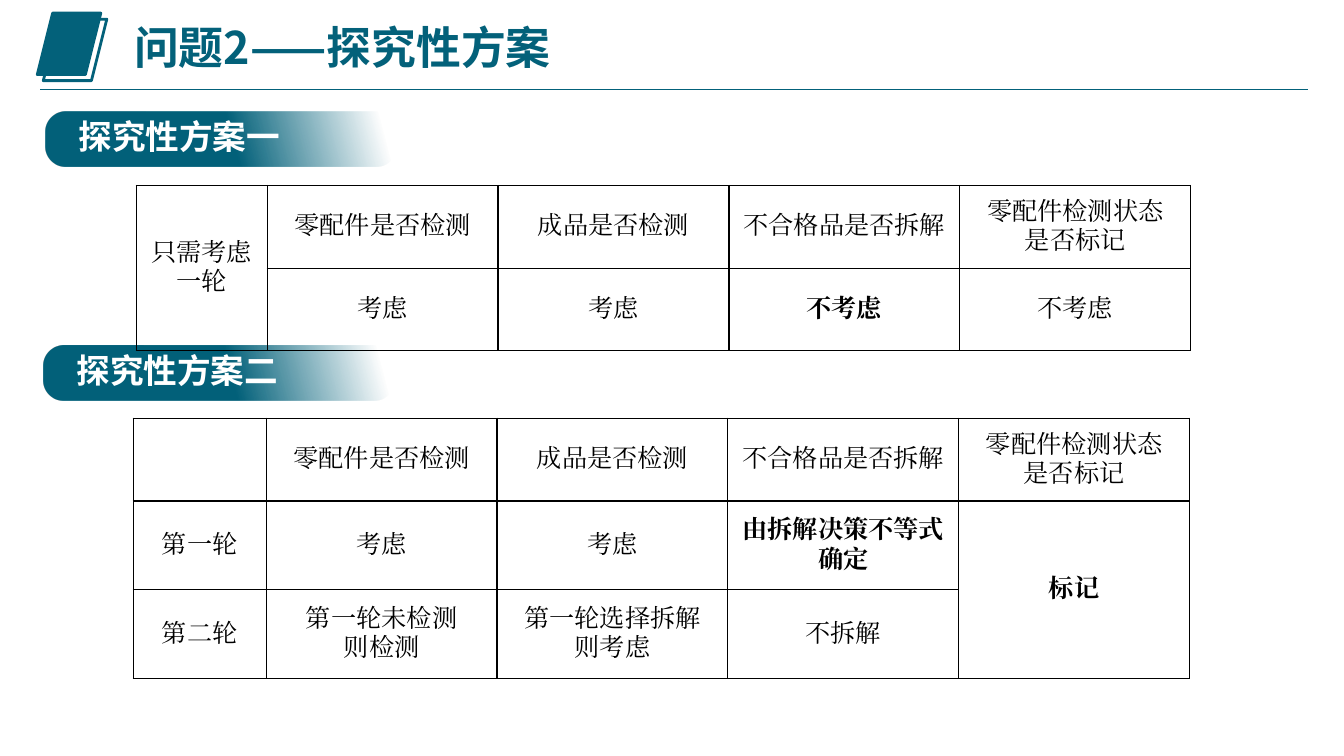
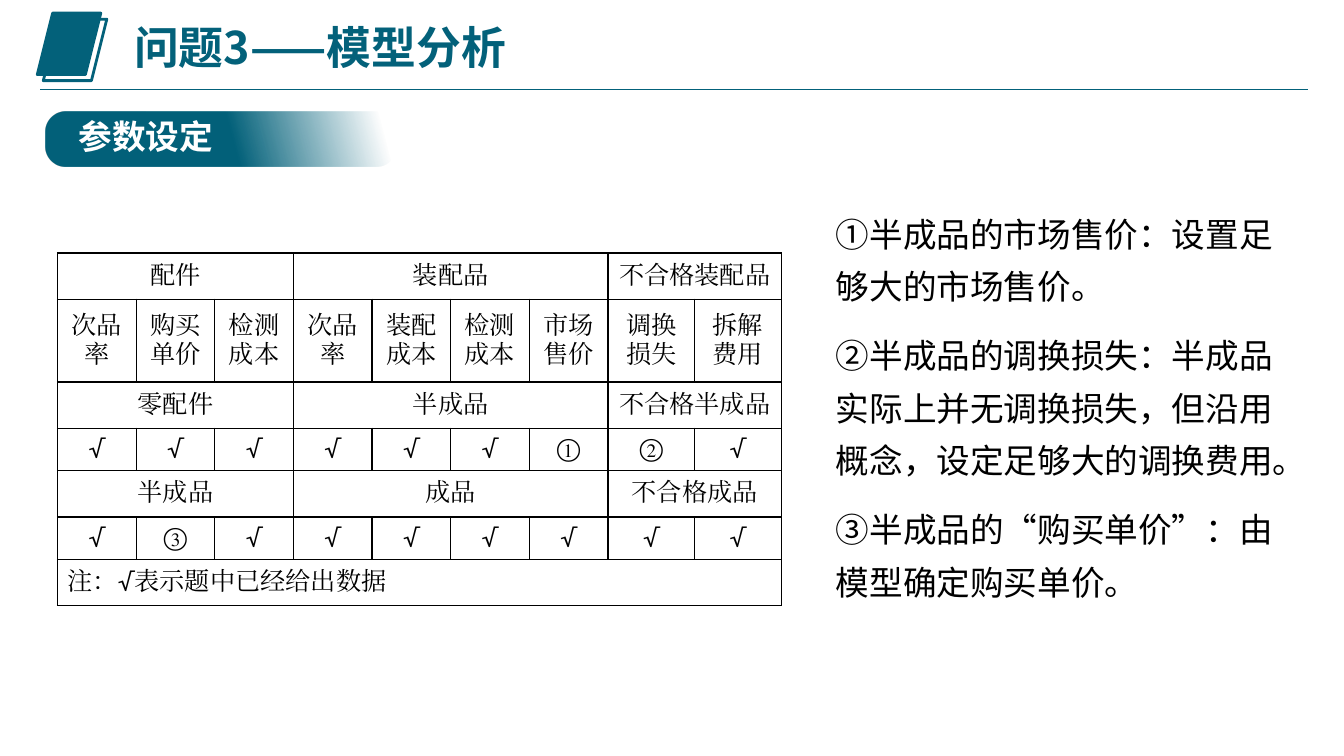
from dataclasses import dataclass

from lxml import etree
from pptx import Presentation
from pptx import util as u
from pptx.dml.color import RGBColor
from pptx.enum import shapes, text
from pptx.oxml import ns

SCALE = 9144
TEAL = RGBColor(0x03, 0x61, 0x7A)
WHITE = RGBColor(0xFF, 0xFF, 0xFF)
BLACK = RGBColor(0, 0, 0)
SANS = "Noto Sans CJK SC"
SERIF = "Cambria"
PLAIN_TABLE = "{2D5ABB26-0587-4C30-8999-92F81FD0307C}"
TITLE_ONLY, TITLE_AND_BODY = 5, 1


@dataclass(frozen=True)
class Style:
    size: int
    latin: str
    asian: str
    color: RGBColor
    bold: bool = False


@dataclass(frozen=True)
class Cell:
    content: str
    rows: int = 1
    columns: int = 1
    bold: bool = False
    align: text.PP_ALIGN = text.PP_ALIGN.CENTER


@dataclass(frozen=True)
class Banner:
    label: str
    left: int
    top: int


@dataclass(frozen=True)
class Grid:
    left: int
    top: int
    widths: list[int]
    heights: list[int]
    rows: list[list[Cell]]


TITLE = Style(32, SANS, SANS, TEAL, True)
LABEL = Style(24, SANS, SANS, WHITE, True)
NOTE = Style(24, SERIF, SANS, BLACK)
TABLE = Style(18, SERIF, SERIF, BLACK)
TABLE_BOLD = Style(18, SERIF, SERIF, BLACK, True)


def px(value: int) -> u.Emu:
    return u.Emu(value * SCALE)


def box(left: int, top: int, width: int, height: int) -> tuple:
    return px(left), px(top), px(width), px(height)


def place(shape, left: int, top: int, width: int, height: int) -> None:
    shape.left, shape.top, shape.width, shape.height = box(left, top, width, height)


def add_run(paragraph, content: str, style: Style) -> None:
    run = paragraph.add_run()
    run.text = content
    font = run.font
    font.size, font.name, font.bold = u.Pt(style.size), style.latin, style.bold
    font.color.rgb = style.color
    asian = etree.SubElement(run._r.get_or_add_rPr(), ns.qn("a:ea"))
    asian.set("typeface", style.asian)


def write(frame, lines: list[str], style: Style, align=text.PP_ALIGN.LEFT,
          spacing: float = 1.0, after: int = 0) -> None:
    for index, line in enumerate(lines):
        paragraph = frame.add_paragraph() if index else frame.paragraphs[0]
        paragraph.alignment = align
        paragraph.line_spacing = spacing
        paragraph.space_before, paragraph.space_after = u.Pt(0), u.Pt(after)
        add_run(paragraph, line, style)


def prepare(frame) -> None:
    frame.word_wrap = True
    frame.auto_size = text.MSO_AUTO_SIZE.NONE
    frame.vertical_anchor = text.MSO_ANCHOR.TOP


def add_header(slide, title: str) -> None:
    for offset, filled in ((0, True), (6, False)):
        page = slide.shapes.add_shape(shapes.MSO_SHAPE.PARALLELOGRAM,
                                      *box(37 + offset, 13 + offset, 63, 61))
        page.shadow.inherit = False
        page.line.color.rgb, page.line.width = TEAL, u.Pt(2)
        if filled:
            page.fill.solid()
            page.fill.fore_color.rgb = TEAL
        else:
            page.fill.background()
        etree.SubElement(page.line._get_or_add_ln(), ns.qn("a:round"))
    rule = slide.shapes.add_connector(shapes.MSO_CONNECTOR.STRAIGHT,
                                      px(40), px(89), px(1297), px(89))
    rule.line.color.rgb, rule.line.width = TEAL, u.Pt(0.75)
    etree.SubElement(rule._element.spPr, ns.qn("a:effectLst"))
    heading = slide.shapes.title
    place(heading, 123, 21, 866, 67)
    prepare(heading.text_frame)
    write(heading.text_frame, [title], TITLE, spacing=0.9)


def fade_fill(shape) -> None:
    shape.fill.gradient()
    gradient = shape._element.spPr.find(ns.qn("a:gradFill"))
    stops = gradient.find(ns.qn("a:gsLst"))
    for stop in list(stops):
        stops.remove(stop)
    for position, alpha in ((0, 100), (53, 100), (95, 0)):
        stop = etree.SubElement(stops, ns.qn("a:gs"), pos=str(position * 1000))
        color = etree.SubElement(stop, ns.qn("a:srgbClr"), val=str(TEAL))
        etree.SubElement(color, ns.qn("a:alpha"), val=str(alpha * 1000))
    direction = gradient.find(ns.qn("a:lin"))
    direction.set("ang", str(345 * 60000))
    direction.set("scaled", "0")


def add_banner(slide, banner: Banner) -> None:
    band = slide.shapes.add_shape(shapes.MSO_SHAPE.ROUNDED_RECTANGLE,
                                  *box(banner.left, banner.top, 348, 54))
    band.adjustments[0] = 0.37
    band.shadow.inherit = False
    band.line.fill.background()
    fade_fill(band)
    label = slide.shapes.add_textbox(*box(banner.left + 23, banner.top + 4, 229, 50))
    prepare(label.text_frame)
    write(label.text_frame, [banner.label], LABEL, spacing=0.9)


def outline(cell) -> None:
    properties = cell._tc.get_or_add_tcPr()
    for side in ("lnL", "lnR", "lnT", "lnB"):
        border = etree.SubElement(properties, ns.qn(f"a:{side}"), w=str(u.Pt(1)))
        fill = etree.SubElement(border, ns.qn("a:solidFill"))
        etree.SubElement(fill, ns.qn("a:srgbClr"), val=str(BLACK))
    cell.fill.background()


def add_grid(slide, grid: Grid) -> None:
    frame = slide.shapes.add_table(
        len(grid.heights), len(grid.widths),
        *box(grid.left, grid.top, sum(grid.widths), sum(grid.heights)))
    table = frame.table
    table.first_row = table.horz_banding = False
    table._tbl.tblPr.find(ns.qn("a:tableStyleId")).text = PLAIN_TABLE
    for column, width in zip(table.columns, grid.widths):
        column.width = px(width)
    for row, height in zip(table.rows, grid.heights):
        row.height = px(height)
    for cell in table.iter_cells():
        outline(cell)
    for row_index, entries in enumerate(grid.rows):
        column_index = 0
        for entry in entries:
            while table.cell(row_index, column_index).is_spanned:
                column_index += 1
            cell = table.cell(row_index, column_index)
            if entry.rows * entry.columns > 1:
                cell.merge(table.cell(row_index + entry.rows - 1,
                                      column_index + entry.columns - 1))
            cell.vertical_anchor = text.MSO_ANCHOR.MIDDLE
            if entry.content:
                write(cell.text_frame, entry.content.split("\n"),
                      TABLE_BOLD if entry.bold else TABLE, entry.align)
            column_index += entry.columns


def add_notes(slide, notes: list[str]) -> None:
    body = slide.placeholders[1]
    place(body, 819, 195, 478, 411)
    prepare(body.text_frame)
    write(body.text_frame, notes, NOTE, spacing=1.3, after=12)
    for paragraph in body.text_frame.paragraphs:
        properties = paragraph._p.get_or_add_pPr()
        properties.set("marL", "0")
        properties.set("indent", "0")
        etree.SubElement(properties, ns.qn("a:buNone"))


def cells(*contents: str) -> list[Cell]:
    return [Cell(content) for content in contents]


def groups(*names: str) -> list[Cell]:
    return [Cell(name, columns=span) for name, span in zip(names, (3, 4, 2))]


def new_slide(presentation, layout: int, title: str, banners: list[Banner]):
    slide = presentation.slides.add_slide(presentation.slide_layouts[layout])
    add_header(slide, title)
    for banner in banners:
        add_banner(slide, banner)
    return slide


def build_schemes(presentation) -> None:
    slide = new_slide(presentation, TITLE_ONLY, "问题2——探究性方案",
                      [Banner("探究性方案一", 45, 111), Banner("探究性方案二", 43, 343)])
    questions = cells("零配件是否检测", "成品是否检测", "不合格品是否拆解",
                      "零配件检测状态\n是否标记")
    add_grid(slide, Grid(132, 415, [132] + [229] * 4, [82, 88, 88], [
        [Cell(""), *questions],
        [*cells("第一轮", "考虑", "考虑"), Cell("由拆解决策不等式确定", bold=True),
         Cell("标记", rows=2, bold=True)],
        cells("第二轮", "第一轮未检测\n则检测", "第一轮选择拆解\n则考虑", "不拆解"),
    ]))
    add_grid(slide, Grid(135, 184, [130] + [229] * 4, [82, 82], [
        [Cell("只需考虑\n一轮", rows=2), *questions],
        [*cells("考虑", "考虑"), Cell("不考虑", bold=True), Cell("不考虑")],
    ]))


def build_parameters(presentation) -> None:
    slide = new_slide(presentation, TITLE_AND_BODY, "问题3——模型分析",
                      [Banner("参数设定", 45, 111)])
    add_grid(slide, Grid(57, 251, [78] * 7 + [86] * 2, [46, 82, 46, 42, 46, 42, 46], [
        groups("配件", "装配品", "不合格装配品"),
        cells("次品率", "购买单价", "检测成本", "次品率", "装配成本", "检测成本",
              "市场售价", "调换损失", "拆解费用"),
        groups("零配件", "半成品", "不合格半成品"),
        cells(*"√√√√√√①②√"),
        groups("半成品", "成品", "不合格成品"),
        cells(*"√③√√√√√√√"),
        [Cell("注：√表示题中已经给出数据", columns=9, align=text.PP_ALIGN.LEFT)],
    ]))
    add_notes(slide, [
        "①半成品的市场售价：设置足够大的市场售价。",
        "②半成品的调换损失：半成品实际上并无调换损失，但沿用概念，设定足够大的调换费用。",
        "③半成品的“购买单价”：由模型确定购买单价。",
    ])


def main() -> None:
    presentation = Presentation()
    presentation.slide_width, presentation.slide_height = px(1333), px(750)
    build_schemes(presentation)
    build_parameters(presentation)
    presentation.save("out.pptx")


if __name__ == "__main__":
    main()
